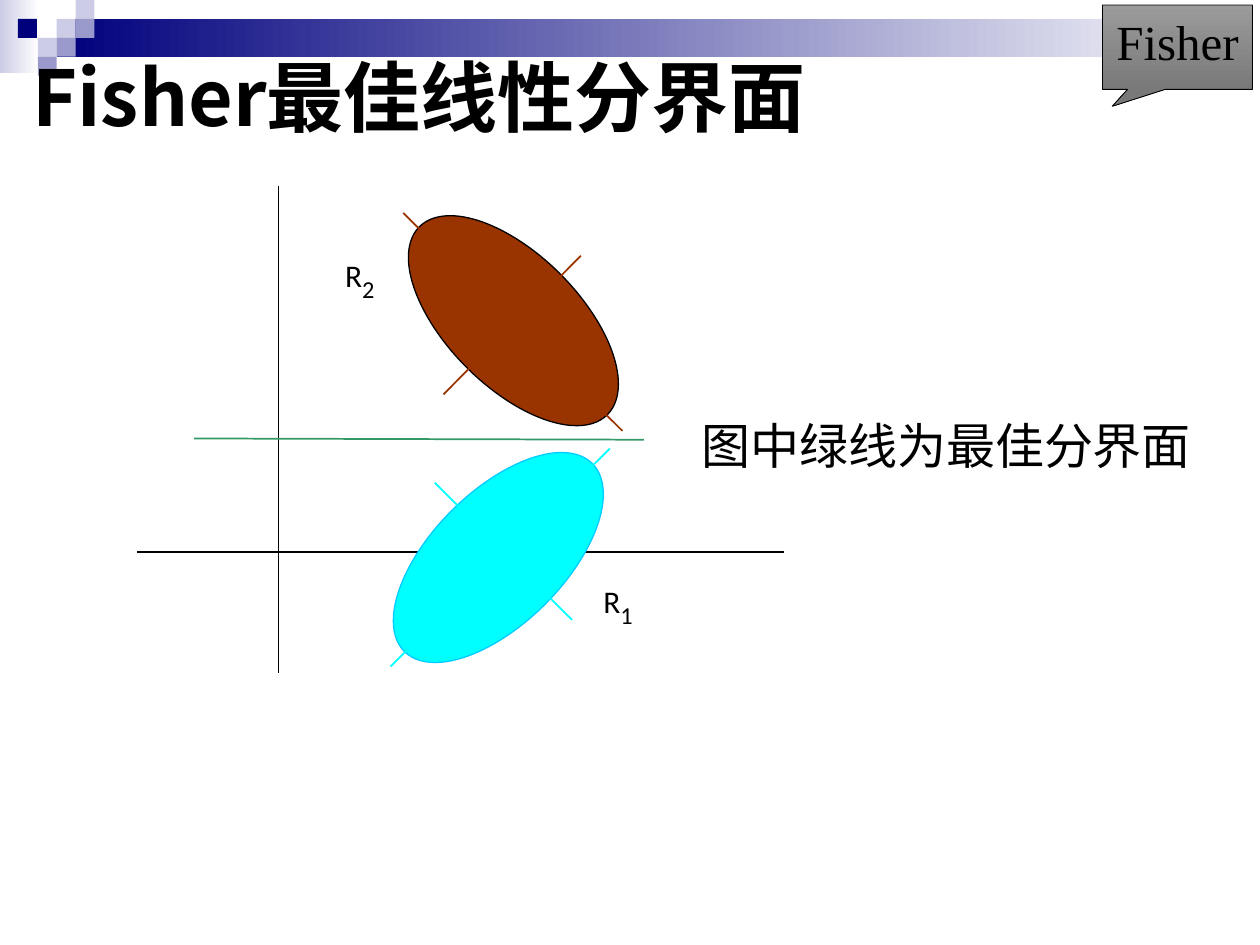
from dataclasses import dataclass, field
from typing import Optional

from lxml.etree import SubElement
from pptx import Presentation
from pptx.dml.color import RGBColor
from pptx.enum.shapes import MSO_CONNECTOR, MSO_SHAPE
from pptx.enum.text import MSO_ANCHOR, PP_ALIGN
from pptx.oxml.ns import qn
from pptx.util import Inches, Pt

COLUMNS, ROWS = 100, 75
WIDTH, HEIGHT = Inches(10), Inches(7.5)
TILE = 1.5

BLACK = RGBColor(0x00, 0x00, 0x00)
WHITE = RGBColor(0xFF, 0xFF, 0xFF)
NAVY = RGBColor(0x00, 0x00, 0x7D)
LAVENDER = RGBColor(0xCC, 0xCC, 0xE6)
PERIWINKLE = RGBColor(0x99, 0x99, 0xCC)
LIGHT_GREY = RGBColor(0x9B, 0x9B, 0x9B)
DARK_GREY = RGBColor(0x79, 0x79, 0x79)
CYAN = RGBColor(0x00, 0xFF, 0xFF)
SKY = RGBColor(0x00, 0xCC, 0xFF)
BROWN = RGBColor(0x99, 0x33, 0x00)
GREEN = RGBColor(0x33, 0x99, 0x66)

CHINESE, LATIN, SERIF = "Noto Sans CJK SC", "Calibri", "Times New Roman"


@dataclass(frozen=True)
class Box:
    """A rectangle in grid columns and rows."""

    column: float
    row: float
    columns: float
    rows: float

    def emu(self) -> tuple:
        """Return left, top, width and height as slide lengths."""
        return (*point(self.column, self.row), *point(self.columns, self.rows))


@dataclass(frozen=True)
class Figure:
    """A preset shape with one fill colour or two gradient colours."""

    box: Box
    colors: tuple
    preset: MSO_SHAPE = MSO_SHAPE.RECTANGLE
    angle: float = 0
    rotation: float = 0
    outline: Optional[RGBColor] = None
    weight: float = 0.75


@dataclass(frozen=True)
class Line:
    """A straight line between two grid points."""

    start: tuple
    end: tuple
    color: RGBColor
    weight: float = 1


@dataclass(frozen=True)
class Label:
    """A line of text with an optional subscript."""

    text: str
    font: str
    size: float
    subscript: str = ""
    format: dict = field(default_factory=dict)


def point(column: float, row: float) -> tuple:
    """Convert a grid position to slide lengths."""
    return int(WIDTH * column / COLUMNS), int(HEIGHT * row / ROWS)


def tile(column: float, row: float, color: RGBColor) -> Figure:
    """Describe one square of the corner mosaic."""
    return Figure(Box(column * TILE, row * TILE, TILE, TILE), (color,))


def draw_figure(slide, figure: Figure):
    """Draw a preset shape."""
    shape = slide.shapes.add_shape(figure.preset, *figure.box.emu())
    shape.shadow.inherit = False
    shape.rotation = figure.rotation
    if len(figure.colors) == 1:
        shape.fill.solid()
        shape.fill.fore_color.rgb = figure.colors[0]
    else:
        shape.fill.gradient()
        shape.fill.gradient_angle = figure.angle
        for stop, color in zip(shape.fill.gradient_stops, figure.colors):
            stop.color.rgb = color
    if figure.outline is None:
        shape.line.fill.background()
    else:
        shape.line.color.rgb = figure.outline
        shape.line.width = Pt(figure.weight)
    return shape


def draw_line(slide, line: Line) -> None:
    """Draw a straight line without shadow."""
    connector = slide.shapes.add_connector(
        MSO_CONNECTOR.STRAIGHT, *point(*line.start), *point(*line.end))
    connector.line.color.rgb = line.color
    connector.line.width = Pt(line.weight)
    SubElement(connector._element.spPr, qn("a:effectLst"))


def add_run(paragraph, text: str, name: str, size: float, bold: bool):
    """Add a run with one font for all scripts."""
    run = paragraph.add_run()
    run.text = text
    formats = {"name": name, "size": Pt(size), "bold": bold}
    for attribute, value in formats.items():
        setattr(run.font, attribute, value)
    run.font.color.rgb = BLACK
    SubElement(run._r.get_or_add_rPr(), qn("a:ea")).set("typeface", name)
    return run


def write_label(shape, label: Label, wrap: bool = True, bold: bool = False,
                anchor=MSO_ANCHOR.TOP, alignment=PP_ALIGN.LEFT) -> None:
    """Write a label into a shape."""
    frame = shape.text_frame
    for attribute, value in {"word_wrap": wrap, "vertical_anchor": anchor}.items():
        setattr(frame, attribute, value)
    paragraph = frame.paragraphs[0]
    paragraph.alignment = alignment
    add_run(paragraph, label.text, label.font, label.size, bold)
    if label.subscript:
        run = add_run(paragraph, label.subscript, label.font, 24, bold)
        run._r.get_or_add_rPr().set("baseline", "-25000")


def draw_label(slide, box: Box, label: Label) -> None:
    """Draw a text box holding a label."""
    write_label(slide.shapes.add_textbox(*box.emu()), label, **label.format)


HEADER = (
    Figure(Box(0, 0, 3.1, 5.8), (LAVENDER, WHITE)),
    Figure(Box(4.5, 1.5, 95.5, 3), (NAVY, WHITE)),
    tile(3, 1, LAVENDER), tile(4, 0, LAVENDER), tile(4, 1, PERIWINKLE),
    tile(2, 2, LAVENDER), tile(0.95, 1, NAVY), tile(3, 2, PERIWINKLE),
    tile(2, 3, PERIWINKLE),
)
CALLOUT = Figure(Box(87.5, 0.4, 11.9, 6.7), (LIGHT_GREY, DARK_GREY),
                 MSO_SHAPE.RECTANGULAR_CALLOUT, angle=270, outline=BLACK, weight=0.5)
AXES = (
    Line((10.9, 43.8), (62.2, 43.8), BLACK, 0.75),
    Line((22.1, 14.8), (22.1, 53.4), BLACK, 0.75),
)
REGIONS = (
    Figure(Box(29, 39, 21.1, 10.5), (CYAN,), MSO_SHAPE.OVAL, rotation=315, outline=SKY),
    Figure(Box(30.2, 20.2, 21.1, 10.5), (BROWN,), MSO_SHAPE.OVAL, rotation=225, outline=BLACK),
)
REGION_LINES = (
    Line((45.4, 49.2), (34.5, 38.3), CYAN),
    Line((31, 52.9), (48.4, 35.6), CYAN),
    Line((46.1, 20.3), (35.2, 31.3), BROWN),
    Line((49.4, 34.2), (32, 16.9), BROWN),
    Line((15.4, 34.8), (51.1, 34.9), GREEN),
)
LABELS = (
    (Box(1.6, 4.5, 76.8, 6.2), Label("Fisher最佳线性分界面", CHINESE, 44, format={
        "bold": True, "anchor": MSO_ANCHOR.MIDDLE})),
    (Box(46.9, 44.9, 6.5, 5.6), Label("R", LATIN, 18, "1")),
    (Box(26.4, 19, 6.5, 5.6), Label("R", LATIN, 18, "2")),
    (Box(54.7, 32.5, 41.7, 5.7), Label("图中绿线为最佳分界面", CHINESE, 28)),
)


def main() -> None:
    """Build and save the slide."""
    presentation = Presentation()
    presentation.slide_width, presentation.slide_height = WIDTH, HEIGHT
    slide = presentation.slides.add_slide(presentation.slide_layouts[6])
    for figure in HEADER:
        draw_figure(slide, figure)
    callout = draw_figure(slide, CALLOUT)
    callout.adjustments[0], callout.adjustments[1] = -0.435, 0.7
    write_label(callout, Label("Fisher", SERIF, 28), wrap=False, alignment=PP_ALIGN.CENTER)
    for line in AXES:
        draw_line(slide, line)
    for region in REGIONS:
        draw_figure(slide, region)
    for line in REGION_LINES:
        draw_line(slide, line)
    for box, label in LABELS:
        draw_label(slide, box, label)
    presentation.save("out.pptx")


if __name__ == "__main__":
    main()
